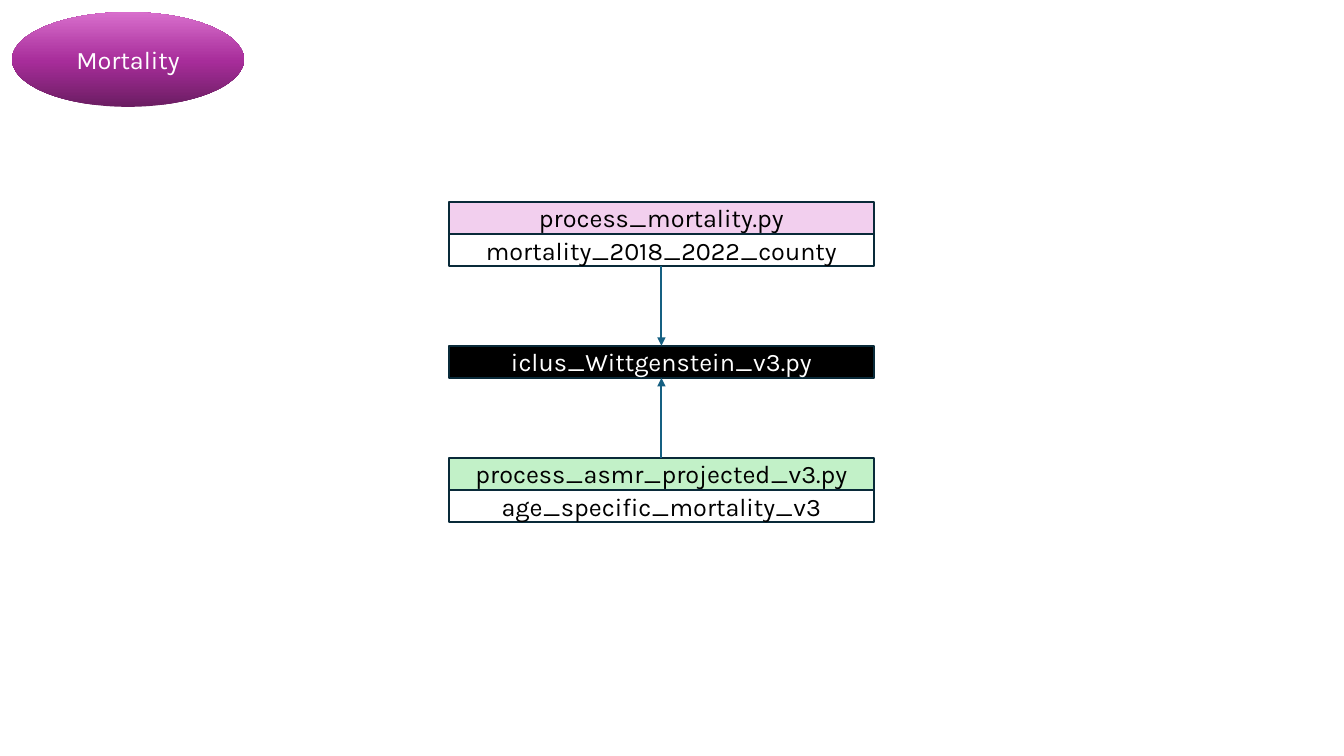
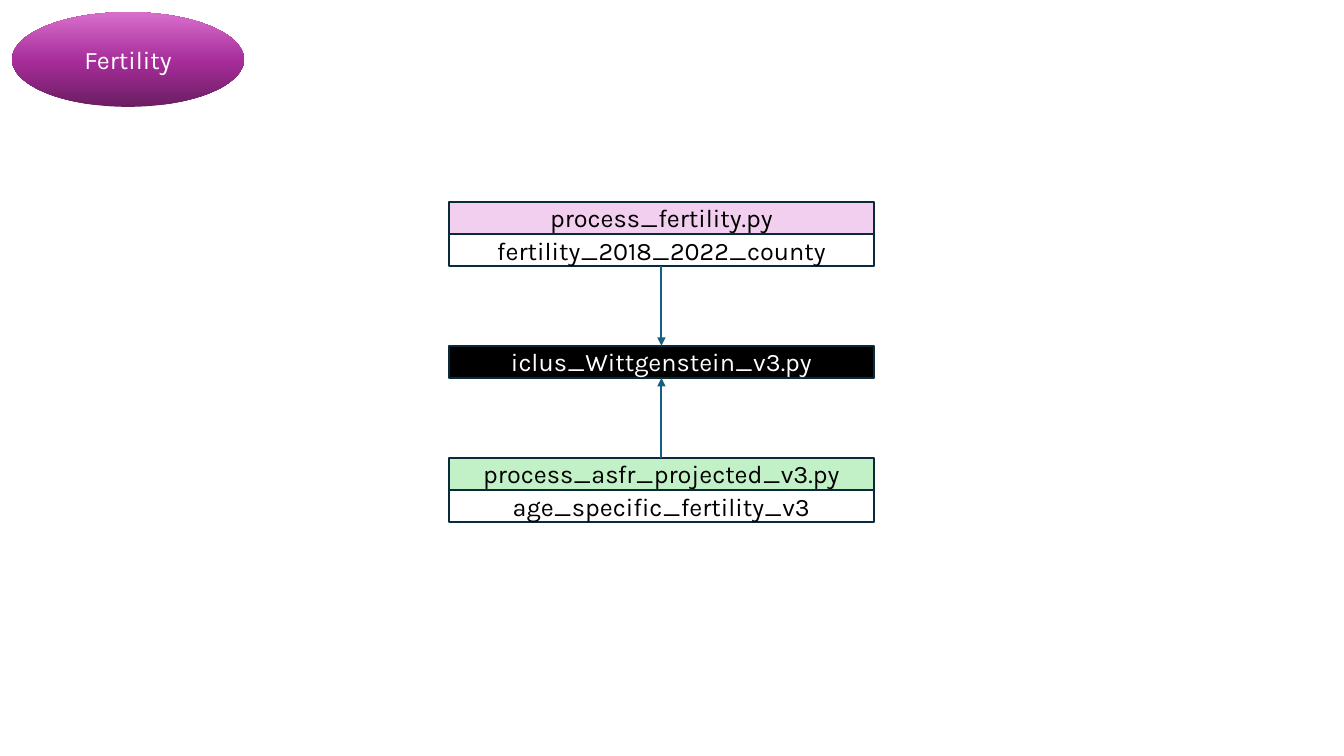
from copy import deepcopy
from dataclasses import dataclass

from lxml import etree
from pptx import Presentation
from pptx.dml.color import RGBColor
from pptx.enum.shapes import MSO_CONNECTOR, MSO_SHAPE
from pptx.enum.text import MSO_ANCHOR, PP_ALIGN
from pptx.oxml.ns import qn
from pptx.util import Inches, Pt

RECTANGLE, OVAL = MSO_SHAPE.RECTANGLE, MSO_SHAPE.OVAL
STRAIGHT = MSO_CONNECTOR.STRAIGHT
MIDDLE, CENTER = MSO_ANCHOR.MIDDLE, PP_ALIGN.CENTER
TOP_SITE, BOTTOM_SITE = 0, 2  # connection sites of a rectangle

# Content: each topic has a historic and a projected input (script, output)
MODEL_SCRIPT = "iclus_Wittgenstein_v3.py"
TOPICS = [
    {
        "topic": "Mortality",
        "historic": ("process_mortality.py", "mortality_2018_2022_county"),
        "projected": ("process_asmr_projected_v3.py", "age_specific_mortality_v3"),
    },
    {
        "topic": "Fertility",
        "historic": ("process_fertility.py", "fertility_2018_2022_county"),
        "projected": ("process_asfr_projected_v3.py", "age_specific_fertility_v3"),
    },
]


@dataclass(frozen=True)
class Theme:
    font: str = "Karla"
    text_size: float = 18
    line_width: float = 1.5
    dark_text: str = "000000"
    light_text: str = "FFFFFF"
    border: str = "092A39"
    arrow: str = "156082"
    model: str = "000000"
    historic: str = "F2CFEE"
    projected: str = "C2F1C8"
    badge: tuple = ((0, "6B1D62"), (0.48, "A72D9A"), (1, "D86ECC"))


THEME = Theme()

# Layout: three stacks in one column, equally spaced
BADGE_BOX = (Inches(0.12), Inches(0.12), Inches(2.3), Inches(0.94))
COLUMN_LEFT, COLUMN_WIDTH = Inches(4.45), Inches(4.22)
ROW_HEIGHT, STACK_GAP = Inches(0.32), Inches(0.79)
HISTORIC_TOP = Inches(2)
MODEL_TOP = HISTORIC_TOP + 2 * ROW_HEIGHT + STACK_GAP
PROJECTED_TOP = MODEL_TOP + ROW_HEIGHT + STACK_GAP


def rgb(code):
    return RGBColor.from_string(code)


def add_label(shapes, kind, box, text, color):
    label = shapes.add_shape(kind, *box)
    label.shadow.inherit = False
    frame = label.text_frame
    frame.text = text
    frame.word_wrap = True
    frame.vertical_anchor = MIDDLE
    paragraph = frame.paragraphs[0]
    paragraph.alignment = CENTER
    font = paragraph.runs[0].font
    font.name, font.size = THEME.font, Pt(THEME.text_size)
    font.color.rgb = rgb(color)
    return label


def add_badge(slide, topic):
    badge = add_label(slide.shapes, OVAL, BADGE_BOX, topic, THEME.light_text)
    badge.line.fill.background()
    badge.fill.gradient()
    badge.fill.gradient_angle = 90
    # The default gradient has two stops; the badge needs a third
    stop_list = badge.element.spPr.find(qn("a:gradFill")).find(qn("a:gsLst"))
    stop_list.append(deepcopy(stop_list[0]))
    for stop, (position, color) in zip(badge.fill.gradient_stops, THEME.badge):
        stop.position = position
        stop.color.rgb = rgb(color)


def add_row(shapes, top, text, fill=None, color=THEME.dark_text):
    box = (COLUMN_LEFT, top, COLUMN_WIDTH, ROW_HEIGHT)
    row = add_label(shapes, RECTANGLE, box, text, color)
    if fill:
        row.fill.solid()
        row.fill.fore_color.rgb = rgb(fill)
    else:
        row.fill.background()
    row.line.color.rgb = rgb(THEME.border)
    row.line.width = Pt(THEME.line_width)
    return row


def add_stack(slide, top, names, fill):
    """Group a script row with the row for its output; return both."""
    script, output = names
    rows = slide.shapes.add_group_shape().shapes
    return (add_row(rows, top, script, fill),
            add_row(rows, top + ROW_HEIGHT, output))


def add_arrow(slide, source, source_site, target, target_site):
    arrow = slide.shapes.add_connector(STRAIGHT, 0, 0, 0, 0)
    arrow.begin_connect(source, source_site)
    arrow.end_connect(target, target_site)
    arrow.line.color.rgb = rgb(THEME.arrow)
    arrow.line.width = Pt(THEME.line_width)
    properties = arrow.element.spPr
    etree.SubElement(properties.find(qn("a:ln")), qn("a:tailEnd"), type="triangle")
    etree.SubElement(properties, qn("a:effectLst"))


def add_topic_slide(deck, content):
    slide = deck.slides.add_slide(deck.slide_layouts[6])
    model = add_row(slide.shapes, MODEL_TOP, MODEL_SCRIPT, THEME.model, THEME.light_text)
    add_badge(slide, content["topic"])
    _, historic_output = add_stack(
        slide, HISTORIC_TOP, content["historic"], THEME.historic)
    projected_script, _ = add_stack(
        slide, PROJECTED_TOP, content["projected"], THEME.projected)
    # Both inputs feed the model
    add_arrow(slide, projected_script, TOP_SITE, model, BOTTOM_SITE)
    add_arrow(slide, historic_output, BOTTOM_SITE, model, TOP_SITE)


def main():
    deck = Presentation()
    deck.slide_width, deck.slide_height = Inches(13.33), Inches(7.5)
    for content in TOPICS:
        add_topic_slide(deck, content)
    deck.save("out.pptx")


if __name__ == "__main__":
    main()
